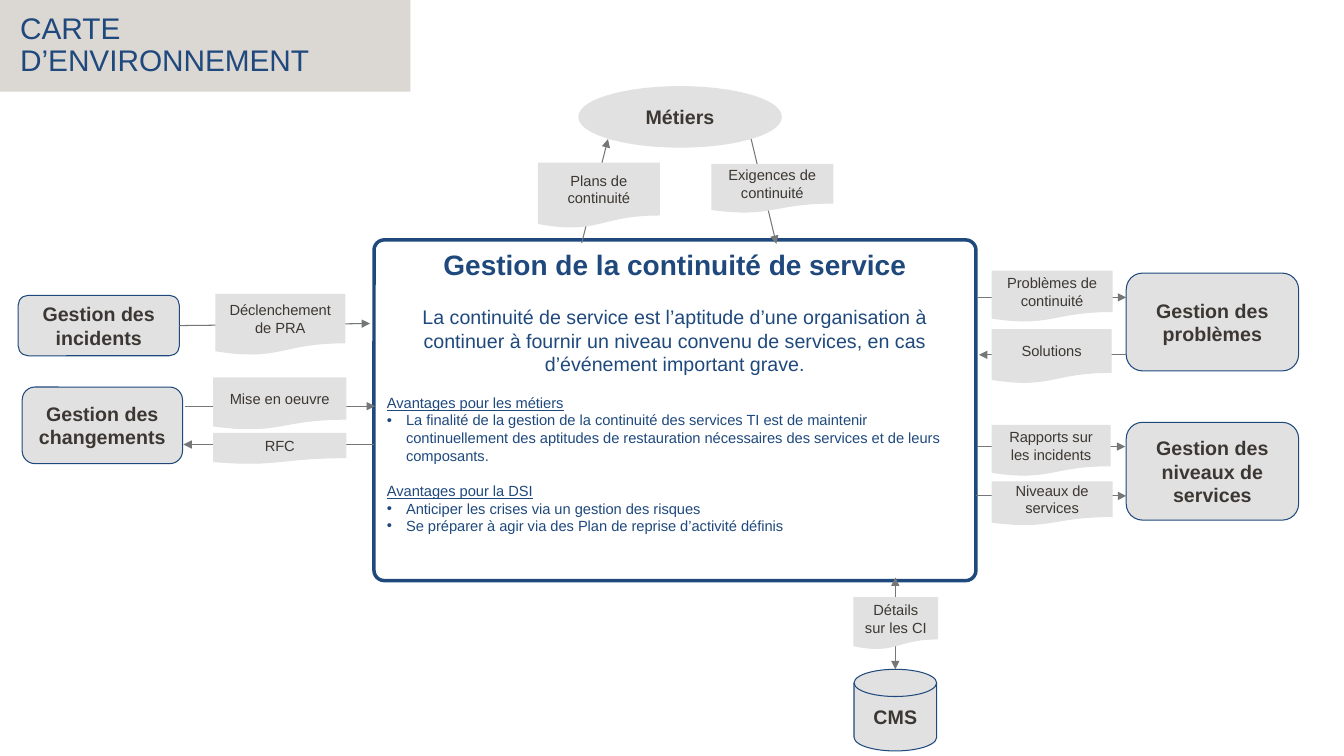
from dataclasses import dataclass

from lxml import etree
from pptx import Presentation
from pptx.dml.color import RGBColor
from pptx.enum.shapes import MSO_CONNECTOR, MSO_SHAPE
from pptx.enum.text import MSO_ANCHOR, PP_ALIGN
from pptx.oxml.ns import qn
from pptx.shapes.autoshape import Shape
from pptx.shapes.connector import Connector
from pptx.shapes.shapetree import SlideShapes
from pptx.util import Pt

PX = 9144
NAVY = RGBColor(0x1F, 0x49, 0x7D)
BEIGE = RGBColor(0xDB, 0xD7, 0xD3)
PALE_GREY = RGBColor(0xE1, 0xE1, 0xE1)
ARROW_GREY = RGBColor(0x74, 0x76, 0x78)
DARK_TEXT = RGBColor(0x3C, 0x37, 0x32)
FONT = "Arial"
RECTANGLE = MSO_SHAPE.RECTANGLE
ELLIPSE = MSO_SHAPE.OVAL
ROUNDED = MSO_SHAPE.ROUNDED_RECTANGLE
DOCUMENT = MSO_SHAPE.FLOWCHART_DOCUMENT
DISK = MSO_SHAPE.FLOWCHART_MAGNETIC_DISK
STRAIGHT = MSO_CONNECTOR.STRAIGHT
MIDDLE, TOP = MSO_ANCHOR.MIDDLE, MSO_ANCHOR.TOP
LEFT, CENTER = PP_ALIGN.LEFT, PP_ALIGN.CENTER
RIGHT_SIDE = 3
BULLET_INDENT = 19


@dataclass(frozen=True)
class Box:
    left: int
    top: int
    width: int
    height: int


@dataclass(frozen=True)
class Line:
    text: str
    size: float
    color: RGBColor = NAVY
    align: PP_ALIGN = LEFT
    bold: bool = False
    underline: bool = False
    bullet: bool = False
    before: float = 0
    spacing: float = 1


@dataclass(frozen=True)
class Node:
    text: str
    box: Box
    kind: MSO_SHAPE = ROUNDED
    outline: RGBColor = NAVY


@dataclass(frozen=True)
class Flow:
    x1: int
    y1: int
    x2: int
    y2: int
    both_ways: bool = False


INCIDENTS = "Gestion des incidents"
NODES = [
    Node("Métiers", Box(574, 86, 201, 60), ELLIPSE, PALE_GREY),
    Node(INCIDENTS, Box(18, 293, 160, 60)),
    Node("Gestion des changements", Box(22, 384, 159, 76)),
    Node("Gestion des problèmes", Box(1117, 271, 171, 97)),
    Node("Gestion des niveaux de services", Box(1117, 419, 171, 97)),
    Node("CMS", Box(847, 664, 82, 81), DISK),
]
INCIDENT_FLOW = Flow(178, 323, 367, 321)
FLOWS = [
    INCIDENT_FLOW,
    Flow(577, 241, 603, 138),
    Flow(745, 138, 770, 242),
    Flow(183, 403, 372, 403),
    Flow(371, 441, 182, 441),
    Flow(970, 295, 1117, 295),
    Flow(1117, 352, 971, 352),
    Flow(969, 443, 1116, 443),
    Flow(968, 492, 1117, 492),
    Flow(888, 573, 888, 664, both_ways=True),
]
DOCUMENTS = [
    Node("Plans de continuité", Box(534, 162, 120, 64)),
    Node("Exigences de continuité", Box(706, 163, 120, 48)),
    Node("Déclenchement de PRA", Box(214, 292, 128, 60)),
    Node("Mise en oeuvre", Box(212, 375, 131, 51)),
    Node("RFC", Box(212, 430, 131, 30)),
    Node("Problèmes de continuité", Box(984, 269, 119, 50)),
    Node("Solutions", Box(984, 327, 118, 53)),
    Node("Rapports sur les incidents", Box(984, 422, 117, 50)),
    Node("Niveaux de services", Box(984, 478, 119, 43)),
    Node("Détails sur les CI", Box(847, 593, 83, 51)),
]
PANEL_LINES = [
    Line("Gestion de la continuité de service", 20, align=CENTER, bold=True),
    Line("La continuité de service est l’aptitude d’une organisation à continuer à fournir "
         "un niveau convenu de services, en cas d’événement important grave.",
         14, align=CENTER, before=17),
    Line("Avantages pour les métiers", 10.5, underline=True, before=12.7),
    Line("La finalité de la gestion de la continuité des services TI est de maintenir "
         "continuellement des aptitudes de restauration nécessaires des services et de "
         "leurs composants.", 10.5, bullet=True),
    Line("Avantages pour la DSI", 10.5, underline=True, before=12.7),
    Line("Anticiper les crises via un gestion des risques", 10.5, bullet=True),
    Line("Se préparer à agir via des Plan de reprise d’activité définis", 10.5, bullet=True),
]


def add_box(shapes: SlideShapes, kind: MSO_SHAPE, box: Box, fill: RGBColor | None,
            outline: RGBColor | None, weight: float = 0.75) -> Shape:
    shape = shapes.add_shape(kind, box.left * PX, box.top * PX, box.width * PX, box.height * PX)
    shape.shadow.inherit = False
    if fill is None:
        shape.fill.background()
    else:
        shape.fill.solid()
        shape.fill.fore_color.rgb = fill
    if outline is None:
        shape.line.fill.background()
    else:
        shape.line.color.rgb = outline
        shape.line.width = Pt(weight)
    return shape


def write_lines(shape: Shape, lines: list[Line], anchor: MSO_ANCHOR,
                inset_x: int, inset_y: int) -> None:
    frame = shape.text_frame
    frame.word_wrap = True
    frame.vertical_anchor = anchor
    frame.margin_left = frame.margin_right = inset_x * PX
    frame.margin_top = frame.margin_bottom = inset_y * PX
    for index, line in enumerate(lines):
        paragraph = frame.add_paragraph() if index else frame.paragraphs[0]
        paragraph.text = line.text
        paragraph.alignment = line.align
        paragraph.line_spacing = line.spacing
        if line.before:
            paragraph.space_before = Pt(line.before)
        if line.bullet:
            properties = paragraph._p.get_or_add_pPr()
            properties.set("marL", str(BULLET_INDENT * PX))
            properties.set("indent", str(-BULLET_INDENT * PX))
            etree.SubElement(properties, qn("a:buFont"), typeface=FONT)
            etree.SubElement(properties, qn("a:buChar"), char="•")
        font = paragraph.font
        font.name = FONT
        font.size = Pt(line.size)
        font.bold = line.bold
        font.underline = line.underline
        font.color.rgb = line.color


def add_node(shapes: SlideShapes, node: Node) -> Shape:
    shape = add_box(shapes, node.kind, node.box, PALE_GREY, node.outline)
    write_lines(shape, [Line(node.text, 14, DARK_TEXT, CENTER, bold=True)], MIDDLE, 10, 10)
    return shape


def add_document(shapes: SlideShapes, document: Node) -> None:
    shape = add_box(shapes, DOCUMENT, document.box, PALE_GREY, PALE_GREY)
    write_lines(shape, [Line(document.text, 10.5, DARK_TEXT, CENTER)], MIDDLE, 10, 10)


def add_flow(shapes: SlideShapes, flow: Flow) -> Connector:
    arrow = shapes.add_connector(STRAIGHT, flow.x1 * PX, flow.y1 * PX, flow.x2 * PX, flow.y2 * PX)
    arrow.line.color.rgb = ARROW_GREY
    arrow.line.width = Pt(0.75)
    outline = arrow.line._get_or_add_ln()
    if flow.both_ways:
        etree.SubElement(outline, qn("a:headEnd"), type="triangle")
    etree.SubElement(outline, qn("a:tailEnd"), type="triangle")
    etree.SubElement(arrow._element.spPr, qn("a:effectLst"))
    return arrow


def main() -> None:
    presentation = Presentation()
    presentation.slide_width = 1333 * PX
    presentation.slide_height = 750 * PX
    shapes = presentation.slides.add_slide(presentation.slide_layouts[6]).shapes

    title = add_box(shapes, RECTANGLE, Box(0, 0, 407, 91), BEIGE, None)
    write_lines(title, [Line("CARTE D’ENVIRONNEMENT", 21.3, spacing=0.9)], MIDDLE, 20, 4)
    panel = add_box(shapes, ROUNDED, Box(371, 238, 597, 338), None, NAVY, 2.5)
    panel.adjustments[0] = 0.03
    write_lines(panel, PANEL_LINES, TOP, 10, 5)

    nodes = {node.text: add_node(shapes, node) for node in NODES}
    arrows = {flow: add_flow(shapes, flow) for flow in FLOWS}
    arrows[INCIDENT_FLOW].begin_connect(nodes[INCIDENTS], RIGHT_SIDE)
    for document in DOCUMENTS:
        add_document(shapes, document)

    presentation.save("out.pptx")


if __name__ == "__main__":
    main()
